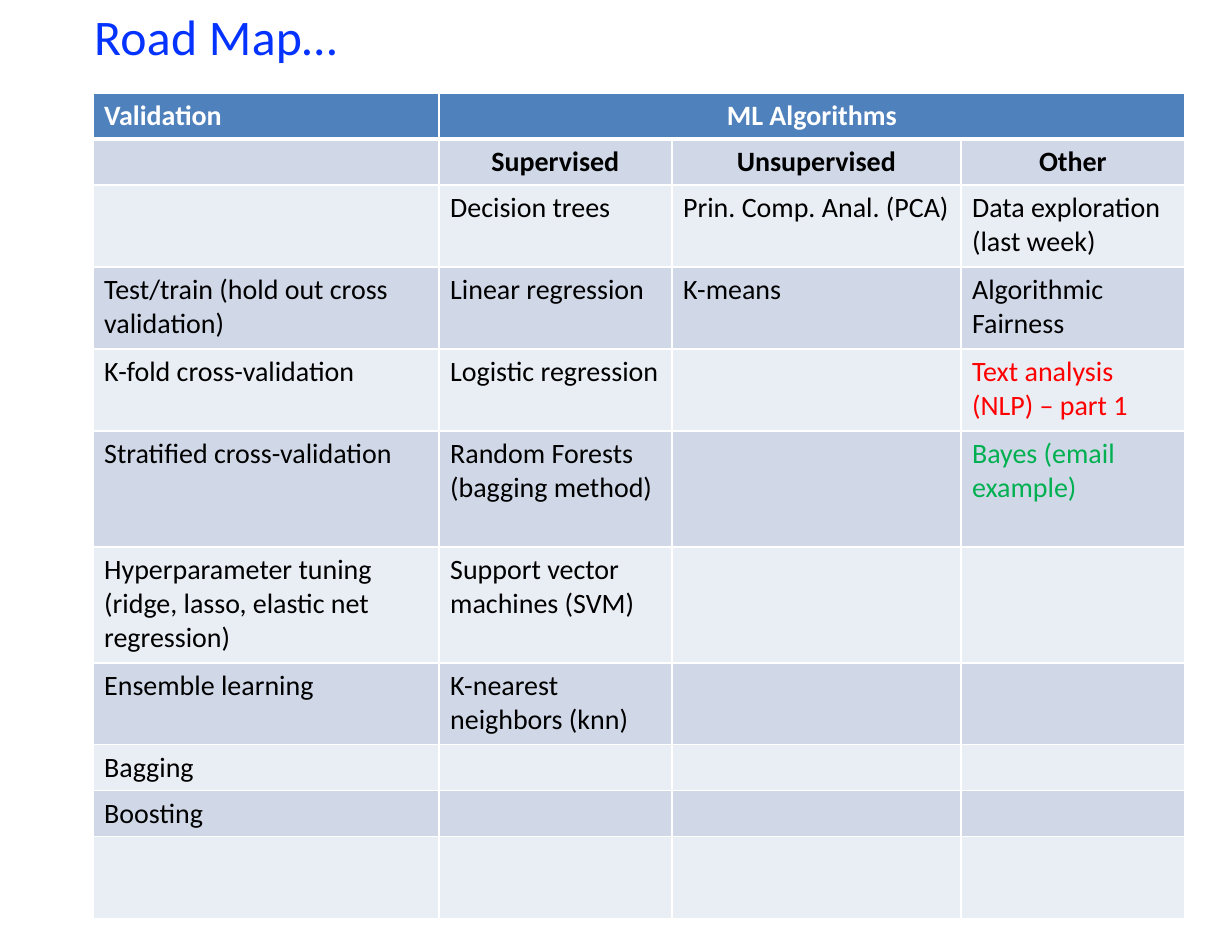
from dataclasses import dataclass

from lxml import etree
from pptx import Presentation
from pptx.dml.color import RGBColor
from pptx.enum.text import MSO_ANCHOR, MSO_AUTO_SIZE, PP_ALIGN
from pptx.oxml.ns import qn
from pptx.util import Emu, Pt

LEFT, CENTER = PP_ALIGN.LEFT, PP_ALIGN.CENTER
TOP = MSO_ANCHOR.TOP
GROW = MSO_AUTO_SIZE.SHAPE_TO_FIT_TEXT
PIXEL = 914400 // 112


@dataclass(frozen=True)
class Theme:
    font: str = "Calibri"
    title_size: int = 32
    cell_size: int = 18
    title: str = "0432FF"
    header: str = "4F81BD"
    bands: tuple = ("D0D8E8", "E9EDF4")
    white: str = "FFFFFF"
    black: str = "000000"
    red: str = "FF0000"
    green: str = "00B050"


def px(count):
    return Emu(count * PIXEL)


class SlideBuilder:
    def __init__(self, deck, theme):
        self.theme = theme
        self.page = deck.slides.add_slide(deck.slide_layouts[5])

    def add_span(self, para, text, size, color, bold=False):
        span = para.add_run()
        span.text = text
        font = span.font
        font.name, font.size, font.bold = self.theme.font, Pt(size), bold
        font.color.rgb = RGBColor.from_string(color)
        return span

    def title(self, text, left, top, width, height):
        box = self.page.shapes.title
        box.left, box.top, box.width, box.height = map(px, (left, top, width, height))
        frame = box.text_frame
        frame.margin_left = frame.margin_right = frame.margin_bottom = 0
        frame.margin_top = px(2)
        frame.vertical_anchor, frame.auto_size, frame.word_wrap = TOP, GROW, True
        para = frame.paragraphs[0]
        para.alignment, para.space_before = LEFT, Pt(1.4)
        properties = para._p.get_or_add_pPr()
        properties.set("marL", str(px(1)))
        properties.set("indent", "0")
        span = self.add_span(para, text, self.theme.title_size, self.theme.title)
        span.font._element.set("spc", "20")

    def borders(self, cell, bottom):
        properties = cell._tc.get_or_add_tcPr()
        for side, width in (("L", 1), ("R", 1), ("T", 1), ("B", bottom)):
            line = etree.SubElement(properties, qn(f"a:ln{side}"), w=str(Pt(width)))
            fill = etree.SubElement(line, qn("a:solidFill"))
            etree.SubElement(fill, qn("a:srgbClr"), val=self.theme.white)

    def cell(self, cell, row, text, color, centered):
        theme = self.theme
        header = row == 0
        self.borders(cell, 3 if header else 1)
        cell.fill.solid()
        shade = theme.header if header else theme.bands[(row - 1) % 2]
        cell.fill.fore_color.rgb = RGBColor.from_string(shade)
        para = cell.text_frame.paragraphs[0]
        para.font.size = Pt(theme.cell_size)
        if text:
            para.alignment = CENTER if centered else LEFT
            self.add_span(para, text, theme.cell_size, color, bold=row < 2)

    def table(self, rows, left, top, widths, heights, accents):
        frame = self.page.shapes.add_table(
            len(rows), len(widths), px(left), px(top), px(sum(widths)), px(sum(heights)))
        grid = frame.table
        for column, width in zip(grid.columns, widths):
            column.width = px(width)
        for line, height in zip(grid.rows, heights):
            line.height = px(height)
        for row, texts in enumerate(rows):
            plain = self.theme.black if row else self.theme.white
            for column, text in enumerate(texts):
                self.cell(grid.cell(row, column), row, text,
                          accents.get(text, plain), row < 2 and column > 0)
        return grid


# Road map content
NLP = "Text analysis (NLP) – part 1"
BAYES = "Bayes (email example)"
ROWS = [
    ("Validation", "ML Algorithms", "", ""),
    ("", "Supervised", "Unsupervised", "Other"),
    ("", "Decision trees", "Prin. Comp. Anal. (PCA)", "Data exploration (last week)"),
    ("Test/train (hold out cross validation)", "Linear regression", "K-means",
     "Algorithmic Fairness"),
    ("K-fold cross-validation", "Logistic regression", "", NLP),
    ("Stratified cross-validation", "Random Forests (bagging method)", "", BAYES),
    ("Hyperparameter tuning (ridge, lasso, elastic net regression)",
     "Support vector machines (SVM)", "", ""),
    ("Ensemble learning", "K-nearest neighbors (knn)", "", ""),
    ("Bagging", "", "", ""),
    ("Boosting", "", "", ""),
    ("", "", "", ""),
]
# Row heights follow the number of text lines each row holds
LINE_HEIGHTS = {1: 46, 2: 82, 3: 116}
ROW_LINES = (1, 1, 2, 2, 2, 3, 3, 2, 1, 1, 2)

deck = Presentation()
deck.slide_width, deck.slide_height = px(1232), px(952)
theme = Theme()
slide = SlideBuilder(deck, theme)

# Title
slide.title("Road Map…", 93, 4, 741, 64)

# Table with one heading across the algorithm columns
road_map = slide.table(
    ROWS, 93, 93, (346, 233, 289, 224), [LINE_HEIGHTS[count] for count in ROW_LINES],
    {NLP: theme.red, BAYES: theme.green})
road_map.cell(0, 1).merge(road_map.cell(0, 3))

deck.save("out.pptx")
